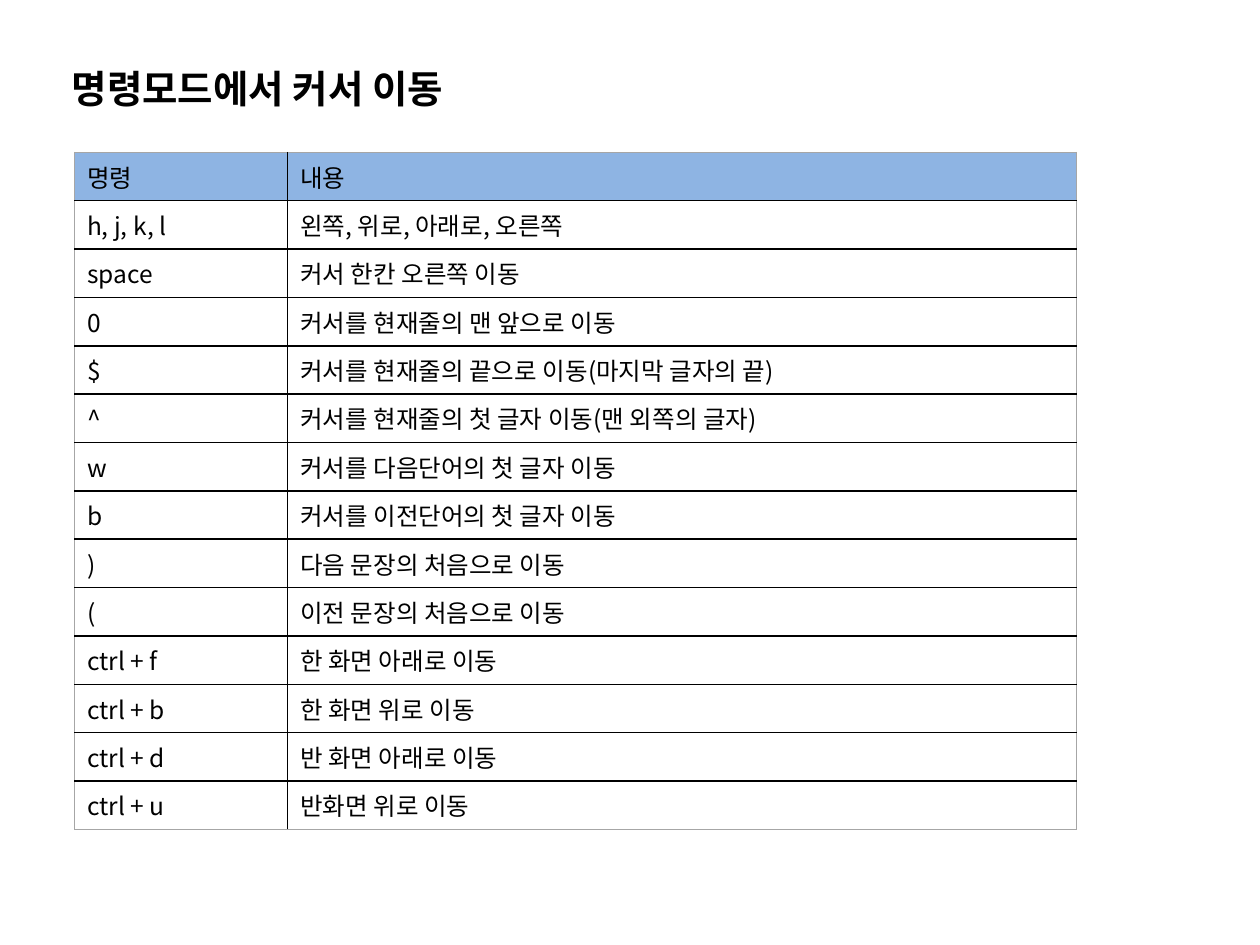
import pptx
import pptx.dml.color
import pptx.oxml
import pptx.oxml.ns
import pptx.util
from pptx.util import Cm

FONT = "Noto Sans CJK KR"
COLORS = {"text": "000000", "header": "8EB4E3", "inner": "000000", "outer": "A6A6A6"}
COMMANDS = [
    ("명령", "내용"),
    ("h, j, k, l", "왼쪽, 위로, 아래로, 오른쪽"),
    ("space", "커서 한칸 오른쪽 이동"),
    ("0", "커서를 현재줄의 맨 앞으로 이동"),
    ("$", "커서를 현재줄의 끝으로 이동(마지막 글자의 끝)"),
    ("^", "커서를 현재줄의 첫 글자 이동(맨 외쪽의 글자)"),
    ("w", "커서를 다음단어의 첫 글자 이동"),
    ("b", "커서를 이전단어의 첫 글자 이동"),
    (")", "다음 문장의 처음으로 이동"),
    ("(", "이전 문장의 처음으로 이동"),
    ("ctrl + f", "한 화면 아래로 이동"),
    ("ctrl + b", "한 화면 위로 이동"),
    ("ctrl + d", "반 화면 아래로 이동"),
    ("ctrl + u", "반화면 위로 이동"),
]


def rgb(name):
    """Return the named colour."""
    return pptx.dml.color.RGBColor.from_string(COLORS[name])


def add_run(p, text, size, bold=False):
    """Add a run in the slide font, for Latin and Korean alike."""
    r = p.add_run()
    r.text = text
    r.font.size = pptx.util.Pt(size)
    r.font.bold = bold
    r.font.name = FONT
    r.font.color.rgb = rgb("text")
    ea = pptx.oxml.parse_xml(f'<a:ea {pptx.oxml.ns.nsdecls("a")} typeface="{FONT}"/>')
    r.font._element.find(pptx.oxml.ns.qn("a:latin")).addnext(ea)


def set_borders(cell, outer):
    """Draw the four borders, with a thin grey line on each outer side."""
    tcPr = cell._tc.get_or_add_tcPr()
    for i, (side, is_outer) in enumerate(outer.items()):
        color, width = (COLORS["outer"], 0.5) if is_outer else (COLORS["inner"], 1)
        tcPr.insert(i, pptx.oxml.parse_xml(
            f'<a:{side} {pptx.oxml.ns.nsdecls("a")} w="{pptx.util.Pt(width)}">'
            f'<a:solidFill><a:srgbClr val="{color}"/></a:solidFill></a:{side}>'))


def add_title(s, left, top, width, height, text):
    """Place the slide title at the top of its box."""
    tf = s.shapes.add_textbox(left, top, width, height).text_frame
    tf.word_wrap = True
    tf.margin_top = 0
    add_run(tf.paragraphs[0], text, 22, bold=True)


def add_command_table(s, left, top, width, height, rows):
    """Place the two-column command table with equal rows."""
    table = s.shapes.add_table(len(rows), 2, left, top, width, height).table
    table.horz_banding = False
    table.columns[0].width = Cm(4.3)
    table.columns[1].width = width - Cm(4.3)
    for i, row in enumerate(rows):
        table.rows[i].height = height // len(rows)
        for j, text in enumerate(row):
            cell = table.cell(i, j)
            if i == 0:
                cell.fill.solid()
                cell.fill.fore_color.rgb = rgb("header")
            else:
                cell.fill.background()
            set_borders(cell, {"lnL": j == 0, "lnR": j == 1,
                               "lnT": i == 0, "lnB": i == len(rows) - 1})
            add_run(cell.text_frame.paragraphs[0], text, 14)


def main():
    """Build the slide and save it."""
    prs = pptx.Presentation()
    prs.slide_width, prs.slide_height = Cm(25.4), Cm(19.05)
    s = prs.slides.add_slide(prs.slide_layouts[6])
    add_command_table(s, Cm(1.5), Cm(3.07), Cm(20.2), Cm(13.65), COMMANDS)
    add_title(s, Cm(1.2), Cm(1.32), Cm(22.5), Cm(15), "명령모드에서 커서 이동")
    prs.save("out.pptx")


if __name__ == "__main__":
    main()
